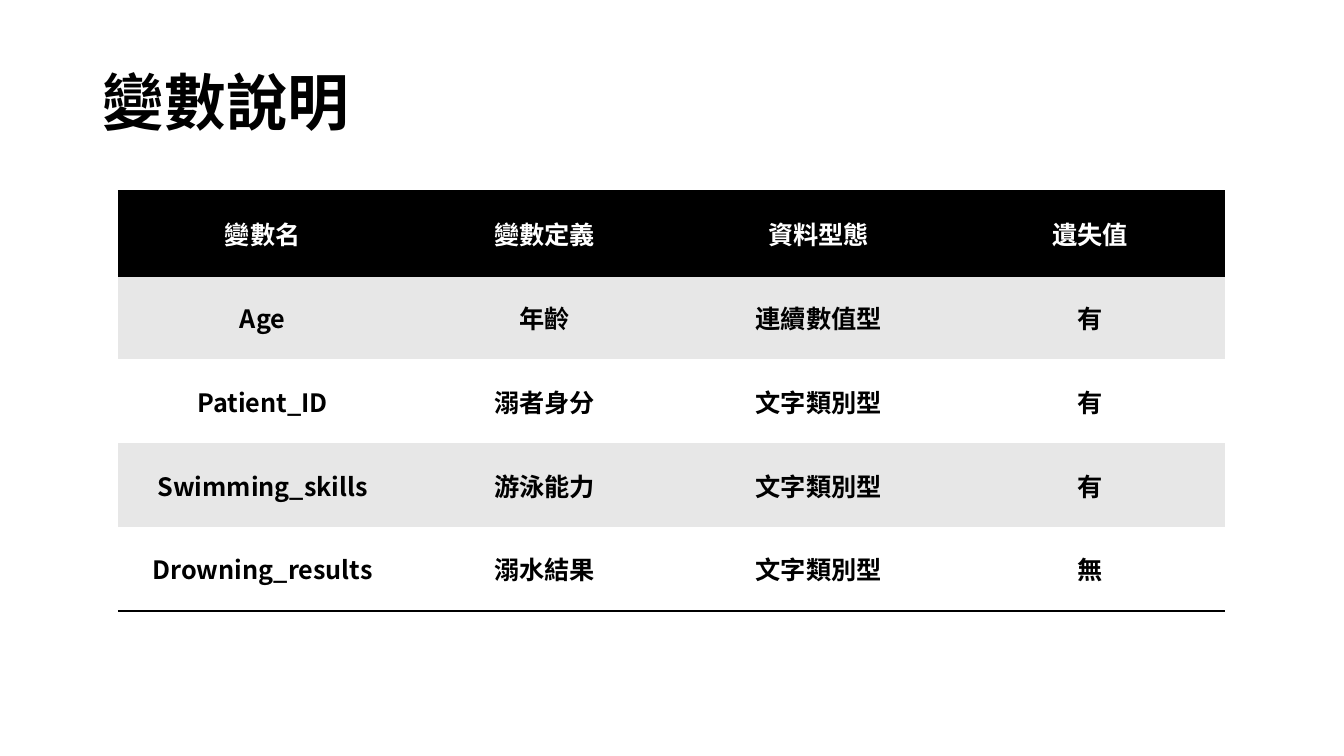
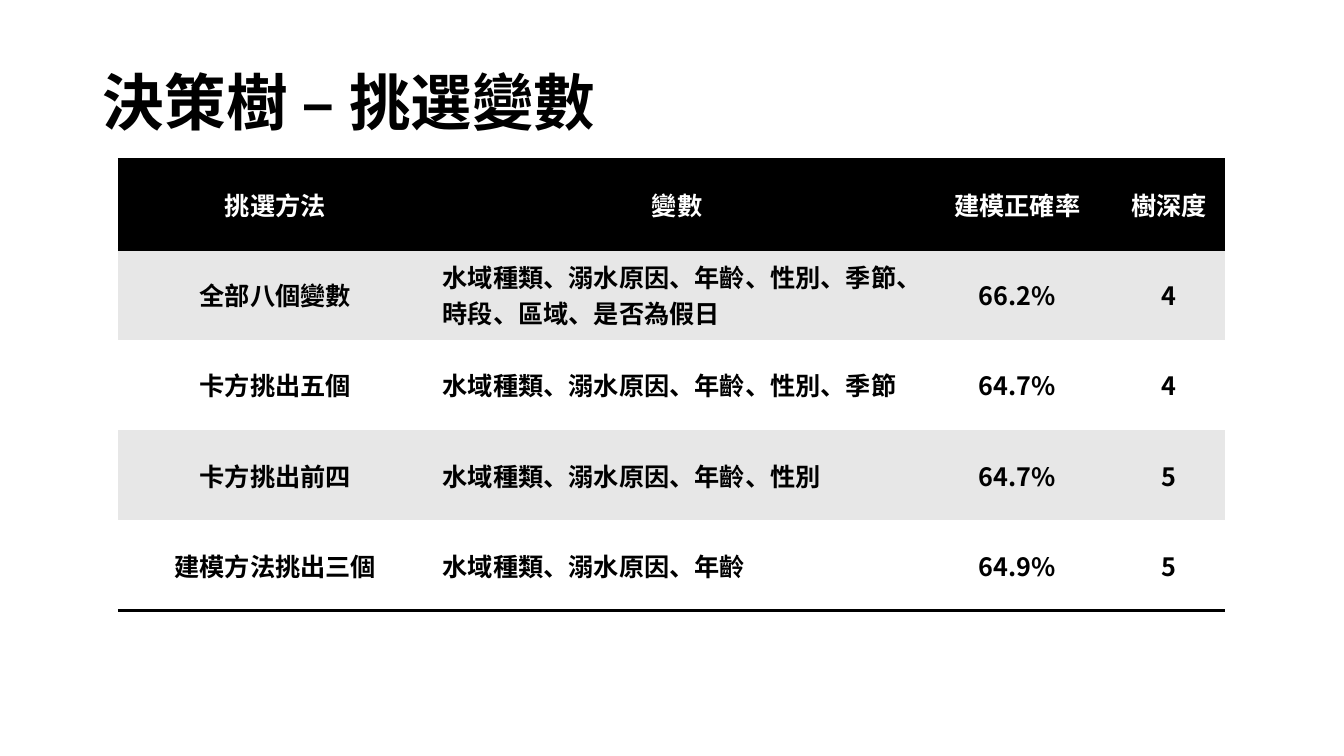
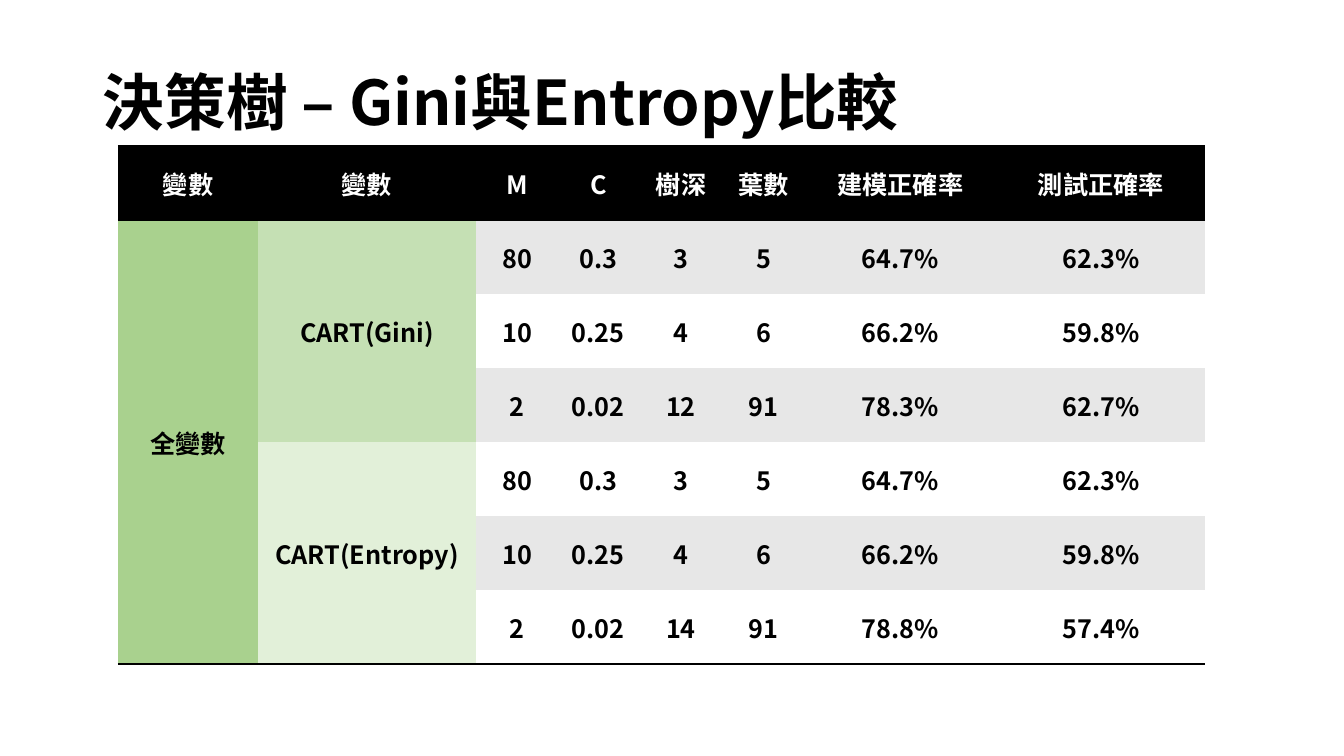
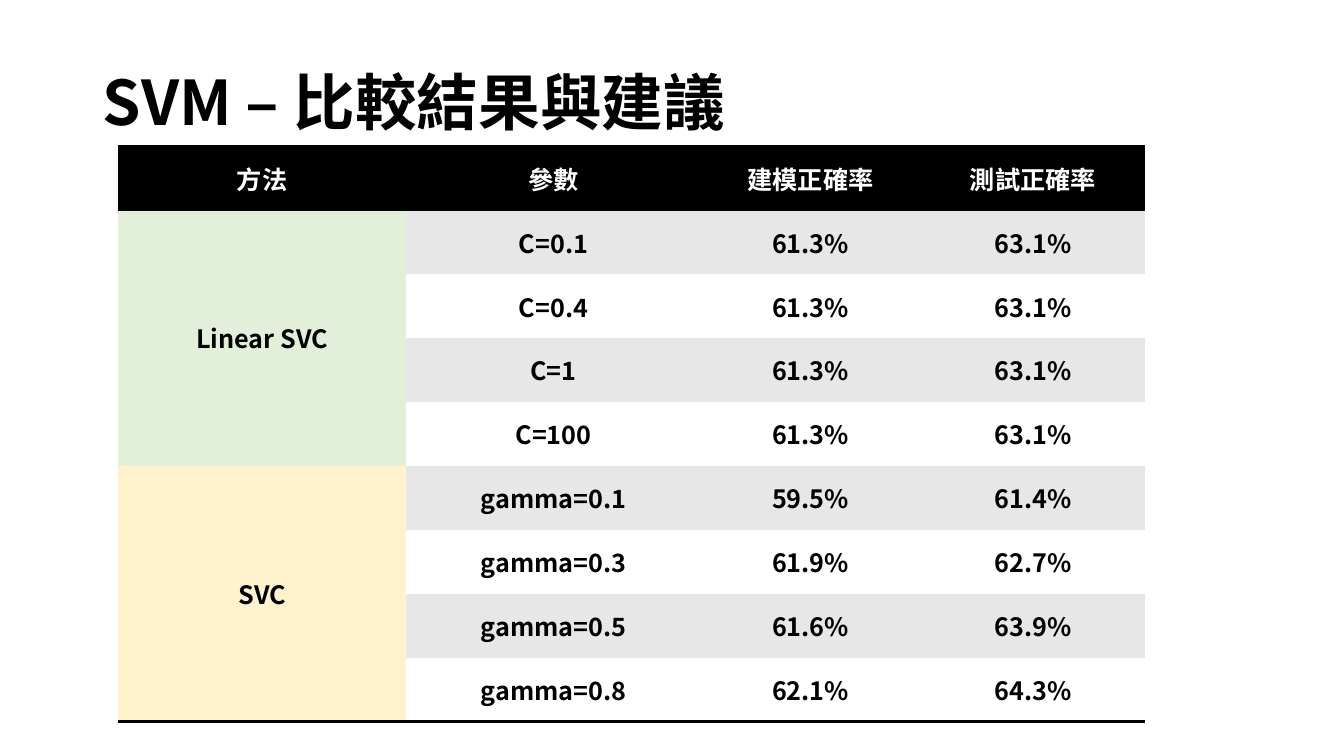
from pptx import Presentation
from pptx import util as u
from pptx.dml.color import RGBColor
from pptx.enum import text
from pptx.oxml import parse_xml
from pptx.oxml.ns import nsdecls

FACE = "Noto Sans CJK TC"
HUE = {"ink": "000000", "paper": "FFFFFF", "band": "E7E7E7", "leaf": "A9D18E",
       "mint": "C5E0B4", "pale": "E2F0D9", "cream": "FFF2CC"}
PLAIN = "{2D5ABB26-0587-4C30-8999-92F81FD0307C}"  # table style without grid
MID = text.MSO_ANCHOR.MIDDLE
LEFT, MIDST = text.PP_ALIGN.LEFT, text.PP_ALIGN.CENTER


def style(frame, size, hue, align):
    """Format every run of a text frame."""
    look = {"name": FACE, "size": u.Pt(size), "bold": True}
    for para in frame.paragraphs:
        para.alignment = align
        for run in para.runs:
            for key, val in look.items():
                setattr(run.font, key, val)
            run.font.color.rgb = RGBColor.from_string(HUE[hue])
            run.font._element.append(
                parse_xml(f'<a:ea {nsdecls("a")} typeface="{FACE}"/>'))


def rule(cell, sides):
    """Draw 2 pt lines on the given sides, T before B."""
    props = cell._tc.get_or_add_tcPr()
    for i, side in enumerate(sides):
        props.insert(i, parse_xml(
            f'<a:ln{side} {nsdecls("a")} w="{u.Pt(2)}"><a:solidFill>'
            f'<a:srgbClr val="{HUE["ink"]}"/></a:solidFill></a:ln{side}>'))


# Content: merged blocks map (row, column) to (rows spanned, colour)
PAGES = [
    {"title": "變數說明", "top": 1.9, "high": 4.16,
     "cols": [2.87, 2.72, 2.72, 2.67], "left": [], "merge": {},
     "rows": [
         ["變數名", "變數定義", "資料型態", "遺失值"],
         ["Age", "年齡", "連續數值型", "有"],
         ["Patient_ID", "溺者身分", "文字類別型", "有"],
         ["Swimming_skills", "游泳能力", "文字類別型", "有"],
         ["Drowning_results", "溺水結果", "文字類別型", "無"]]},
    {"title": "決策樹 – 挑選變數", "top": 1.58, "high": 4.48,
     "cols": [3.12, 4.85, 1.9, 1.11], "left": [1], "merge": {},
     "rows": [
         ["挑選方法", "變數", "建模正確率", "樹深度"],
         ["全部八個變數",
          "水域種類、溺水原因、年齡、性別、季節、\n時段、區域、是否為假日", "66.2%", "4"],
         ["卡方挑出五個", "水域種類、溺水原因、年齡、性別、季節", "64.7%", "4"],
         ["卡方挑出前四", "水域種類、溺水原因、年齡、性別", "64.7%", "5"],
         ["建模方法挑出三個", "水域種類、溺水原因、年齡", "64.9%", "5"]]},
    {"title": "決策樹 – Gini與Entropy比較", "top": 1.45, "high": 5.14,
     "cols": [1.39, 2.16, 0.82, 0.79, 0.85, 0.79, 1.92, 2.06], "left": [],
     "merge": {(1, 0): (6, "leaf"), (1, 1): (3, "mint"), (4, 1): (3, "pale")},
     "rows": [
         ["變數", "變數", "M", "C", "樹深", "葉數", "建模正確率", "測試正確率"],
         ["全變數", "CART(Gini)", "80", "0.3", "3", "5", "64.7%", "62.3%"],
         ["", "", "10", "0.25", "4", "6", "66.2%", "59.8%"],
         ["", "", "2", "0.02", "12", "91", "78.3%", "62.7%"],
         ["", "CART(Entropy)", "80", "0.3", "3", "5", "64.7%", "62.3%"],
         ["", "", "10", "0.25", "4", "6", "66.2%", "59.8%"],
         ["", "", "2", "0.02", "14", "91", "78.8%", "57.4%"]]},
    {"title": "SVM – 比較結果與建議", "top": 1.45, "high": 5.71,
     "cols": [2.86, 2.92, 2.18, 2.23], "left": [],
     "merge": {(1, 0): (4, "pale"), (5, 0): (4, "cream")},
     "rows": [
         ["方法", "參數", "建模正確率", "測試正確率"],
         ["Linear SVC", "C=0.1", "61.3%", "63.1%"],
         ["", "C=0.4", "61.3%", "63.1%"],
         ["", "C=1", "61.3%", "63.1%"],
         ["", "C=100", "61.3%", "63.1%"],
         ["SVC", "gamma=0.1", "59.5%", "61.4%"],
         ["", "gamma=0.3", "61.9%", "62.7%"],
         ["", "gamma=0.5", "61.6%", "63.9%"],
         ["", "gamma=0.8", "62.1%", "64.3%"]]},
]

deck = Presentation()
deck.slide_width, deck.slide_height = u.Inches(13.33), u.Inches(7.5)

# Title place, shared through the layout
base = deck.slide_layouts.get_by_name("Title Only")
spot = {"left": 0.92, "top": 0.64, "width": 11.5, "height": 0.81}
for key, val in spot.items():
    setattr(base.placeholders[0], key, u.Inches(val))

for page in PAGES:
    slide = deck.slides.add_slide(base)

    # Title
    head = slide.shapes.title.text_frame
    head.text = page["title"]
    head.vertical_anchor = MID
    head.auto_size = text.MSO_AUTO_SIZE.NONE
    head.paragraphs[0].line_spacing = 0.9
    style(head, 44, "ink", LEFT)

    # Table grid
    rows, cols, merge = page["rows"], page["cols"], page["merge"]
    frame = slide.shapes.add_table(
        len(rows), len(cols), u.Inches(1.17), u.Inches(page["top"]),
        u.Inches(sum(cols)), u.Inches(page["high"]))
    grid = frame.table
    grid._tbl.tblPr.find("{*}tableStyleId").text = PLAIN
    for col, wide in zip(grid.columns, cols):
        col.width = u.Inches(wide)
    for (r, c), (span, _) in merge.items():
        grid.cell(r, c).merge(grid.cell(r + span - 1, c))

    # Cells
    for r, row in enumerate(rows):
        for c, word in enumerate(row):
            cell = grid.cell(r, c)
            span, hue = merge.get((r, c), (1, "band" if r % 2 else "paper"))
            if r == 0:
                hue = "ink"
                rule(cell, "TB")
            elif r + span == len(rows):
                rule(cell, "B")
            if cell.is_spanned:
                continue
            cell.text = word
            cell.vertical_anchor = MID
            cell.fill.solid()
            cell.fill.fore_color.rgb = RGBColor.from_string(HUE[hue])
            style(cell.text_frame, 18, "ink" if r else "paper",
                  LEFT if r and c in page["left"] else MIDST)

deck.save("out.pptx")
